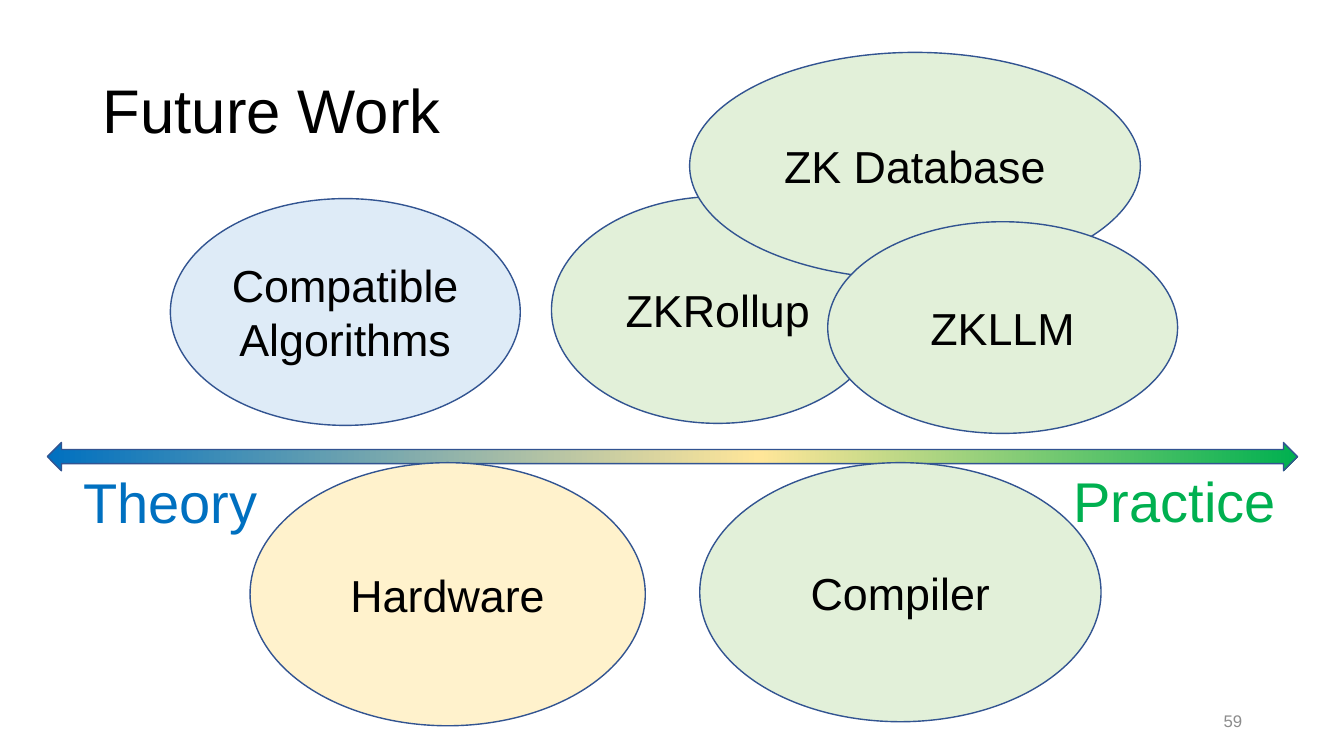
"""Build the Future Work slide: projects placed along a theory-to-practice axis."""
import copy
from dataclasses import dataclass
from typing import Any

import pptx
import pptx.dml.color
import pptx.enum.shapes
import pptx.enum.text
import pptx.oxml.ns
import pptx.util

Inches = pptx.util.Inches
SHAPES = pptx.enum.shapes.MSO_SHAPE
ALIGN = pptx.enum.text.PP_ALIGN
ANCHOR = pptx.enum.text.MSO_ANCHOR
Box = tuple[float, float, float, float]


@dataclass(frozen=True)
class Theme:
    font: str = "Arial"
    ink: str = "000000"
    muted: str = "8C8C8C"
    outline: str = "325491"
    theory: str = "0070C0"
    middle: str = "FFE699"
    practice: str = "00B050"
    theory_tint: str = "DEEBF7"
    middle_tint: str = "FFF2CC"
    practice_tint: str = "E2F0D9"
    title_size: int = 44
    axis_size: int = 40
    topic_size: int = 32
    number_size: int = 12
    outline_width: int = 1


@dataclass(frozen=True)
class Topic:
    text: str
    box: Box
    tint: str


@dataclass(frozen=True)
class Label:
    text: str
    box: Box
    size: int
    color: str
    align: Any = ALIGN.CENTER
    anchor: Any = ANCHOR.TOP


THEME = Theme()
TOPICS = [
    Topic("Hardware", (2.48, 4.59, 3.92, 2.61), THEME.middle_tint),
    Topic("Compiler", (6.94, 4.59, 3.98, 2.57), THEME.practice_tint),
    Topic("Compatible\nAlgorithms", (1.69, 1.97, 3.47, 2.25), THEME.theory_tint),
    Topic("ZKRollup", (5.47, 1.95, 3.3, 2.25), THEME.practice_tint),
    Topic("ZK Database", (6.84, 0.52, 4.47, 2.25), THEME.practice_tint),
    Topic("ZKLLM", (8.21, 2.2, 3.47, 2.1), THEME.practice_tint),
]
LABELS = [
    Label("Theory", (0.56, 4.59, 2.26, 0.77), THEME.axis_size, THEME.theory),
    Label("Practice", (10.43, 4.58, 2.44, 0.77), THEME.axis_size, THEME.practice),
    Label("59", (9.42, 6.95, 3, 0.4), THEME.number_size, THEME.muted, ALIGN.RIGHT, ANCHOR.MIDDLE),
]
AXIS_BOX: Box = (0.47, 4.39, 12.4, 0.28)
AXIS_STOPS = [(0, THEME.theory), (0.57, THEME.middle), (1, THEME.practice)]
TITLE = Label("Future Work", (0.92, 0.4, 11.5, 1.45), THEME.title_size, THEME.ink, ALIGN.LEFT, ANCHOR.MIDDLE)


def rgb(color: str) -> pptx.dml.color.RGBColor:
    """Return the colour for a hex code."""
    return pptx.dml.color.RGBColor.from_string(color)


def apply(target: Any, formats: dict[str, Any]) -> None:
    """Set every format value on the target."""
    for name, value in formats.items():
        setattr(target, name, value)


def write(holder: Any, label: Label, spacing: float = 1.0) -> None:
    """Write formatted text into a shape, text box or placeholder."""
    frame = holder.text_frame
    frame.text = label.text
    apply(frame, {
        "word_wrap": True,
        "auto_size": pptx.enum.text.MSO_AUTO_SIZE.NONE,
        "vertical_anchor": label.anchor,
    })
    for paragraph in frame.paragraphs:
        apply(paragraph, {"alignment": label.align, "line_spacing": spacing})
        apply(paragraph.font, {"name": THEME.font, "size": pptx.util.Pt(label.size)})
        paragraph.font.color.rgb = rgb(label.color)


def add_outlined(slide: Any, preset: Any, box: Box) -> Any:
    """Add a preset shape with the shared outline and no shadow."""
    outlined = slide.shapes.add_shape(preset, *map(Inches, box))
    outlined.shadow.inherit = False
    outlined.line.color.rgb = rgb(THEME.outline)
    outlined.line.width = pptx.util.Pt(THEME.outline_width)
    return outlined


def add_axis(slide: Any) -> None:
    """Add the double arrow shaded from theory to practice."""
    axis = add_outlined(slide, SHAPES.LEFT_RIGHT_ARROW, AXIS_BOX)
    axis.fill.gradient()
    axis.fill.gradient_angle = 0
    stop_list = axis.element.spPr.find(".//" + pptx.oxml.ns.qn("a:gsLst"))
    stop_list.insert(1, copy.deepcopy(stop_list[0]))
    for stop, (position, color) in zip(axis.fill.gradient_stops, AXIS_STOPS):
        stop.position = position
        stop.color.rgb = rgb(color)


def add_topic(slide: Any, topic: Topic) -> None:
    """Add one topic ellipse."""
    ellipse = add_outlined(slide, SHAPES.OVAL, topic.box)
    ellipse.fill.solid()
    ellipse.fill.fore_color.rgb = rgb(topic.tint)
    write(ellipse, Label(topic.text, topic.box, THEME.topic_size, THEME.ink, anchor=ANCHOR.MIDDLE))


def add_title(slide: Any) -> None:
    """Move and fill the title placeholder."""
    title = slide.shapes.title
    apply(title, dict(zip(("left", "top", "width", "height"), map(Inches, TITLE.box))))
    write(title, TITLE, spacing=0.9)


def main() -> None:
    """Build and save the slide."""
    deck = pptx.Presentation()
    apply(deck, {"slide_width": Inches(13.33), "slide_height": Inches(7.5)})
    slide = deck.slides.add_slide(deck.slide_layouts.get_by_name("Title Only"))
    add_title(slide)
    add_axis(slide)
    for topic in TOPICS:
        add_topic(slide, topic)
    for label in LABELS:
        write(slide.shapes.add_textbox(*map(Inches, label.box)), label)
    deck.save("out.pptx")


if __name__ == "__main__":
    main()
